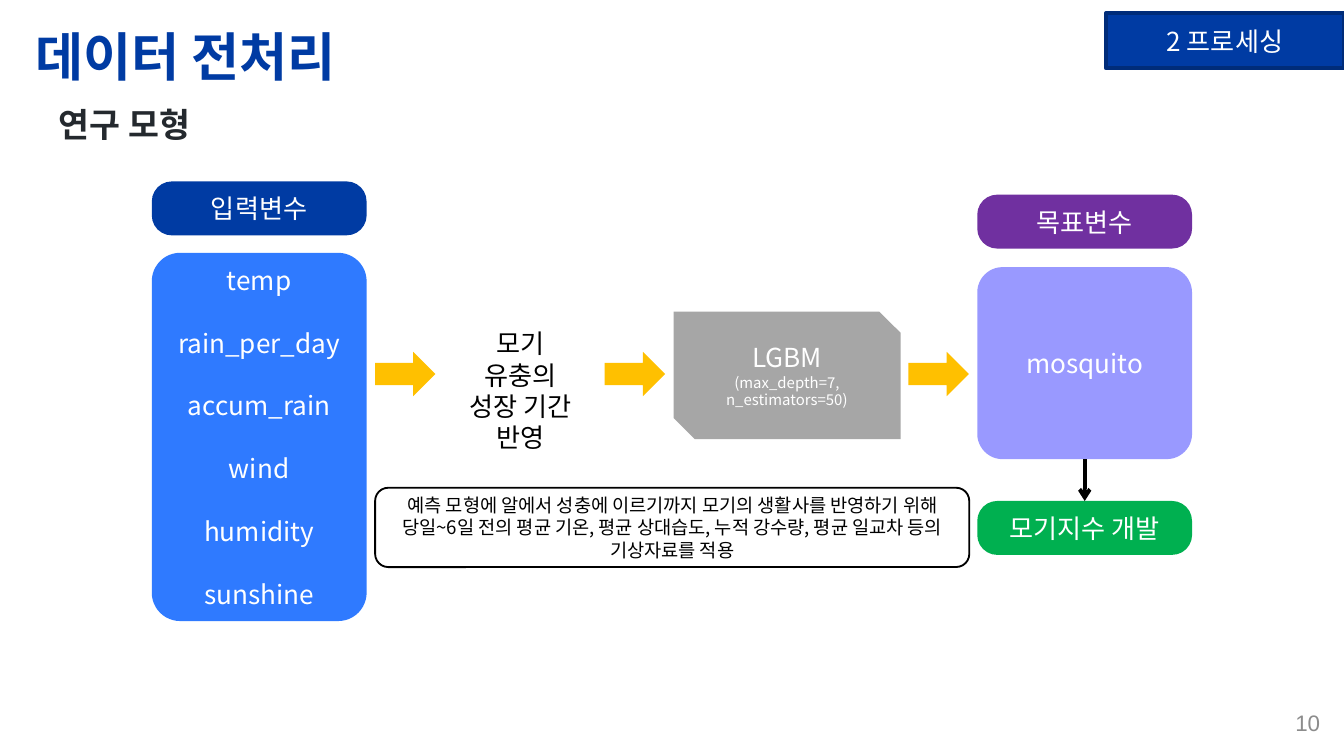
from dataclasses import dataclass

from lxml import etree
from pptx import Presentation
from pptx import util as u
from pptx.dml.color import RGBColor
from pptx.enum import shapes, text
from pptx.oxml import ns


@dataclass(frozen=True)
class Theme:
    font: str = "Noto Sans CJK KR"
    number_font: str = "Arial"
    navy: str = "003BA3"
    navy_edge: str = "002C79"
    blue: str = "2F7AFF"
    ink: str = "24292E"
    gray: str = "A6A6A6"
    number: str = "8C8C8C"
    amber: str = "FFC000"
    lilac: str = "9999FF"
    purple: str = "7030A0"
    green: str = "00B050"
    white: str = "FFFFFF"
    black: str = "000000"
    title: int = 28
    subtitle: int = 18
    body: int = 14
    page: int = 12
    note: int = 10
    small: int = 8
    leading: float = 1.2


T = Theme()
Shape = shapes.MSO_SHAPE
Align = text.PP_ALIGN
Anchor = text.MSO_ANCHOR


def write(tf, content, size=T.body, color=T.white, font=T.font, bold=False,
          align=Align.CENTER, anchor=Anchor.MIDDLE, gap=0, first=True):
    tf.word_wrap = True
    tf.vertical_anchor = anchor
    for i, line in enumerate(content.split("\n")):
        p = tf.paragraphs[0] if first and i == 0 else tf.add_paragraph()
        p.alignment = align
        p.line_spacing = u.Pt(size * T.leading)
        p.space_before = u.Pt(gap if i else 0)
        r = p.add_run()
        r.text = line
        r.font.size = u.Pt(size)
        r.font.bold = bold
        r.font.color.rgb = RGBColor.from_string(color)
        r.font.name = font
        etree.SubElement(r.font._element, ns.qn("a:ea"), typeface=font)


def block(kind, x, y, w, h, fill=None, edge=None, width=1, adj=None):
    sp = s.shapes.add_shape(kind, u.Cm(x), u.Cm(y), u.Cm(w), u.Cm(h))
    sp.shadow.inherit = False
    if fill:
        sp.fill.solid()
        sp.fill.fore_color.rgb = RGBColor.from_string(fill)
    else:
        sp.fill.background()
    if edge:
        sp.line.color.rgb = RGBColor.from_string(edge)
        sp.line.width = u.Pt(width)
    else:
        sp.line.fill.background()
    if adj is not None:
        sp.adjustments[0] = adj
    return sp.text_frame


prs = Presentation()
prs.slide_width, prs.slide_height = u.Cm(25.4), u.Cm(14.29)
s = prs.slides.add_slide(prs.slide_layouts[5])

title = s.shapes.title
title.left, title.top = u.Cm(0.41), u.Cm(0.25)
title.width, title.height = u.Cm(21.44), u.Cm(1.6)
write(title.text_frame, "데이터 전처리", size=T.title, color=T.navy, bold=True, align=Align.LEFT)

subtitle = s.shapes.add_textbox(u.Cm(0.86), u.Cm(1.83), u.Cm(22.23), u.Cm(1.02))
write(subtitle.text_frame, "연구 모형", size=T.subtitle, color=T.ink, bold=True, align=Align.LEFT)

write(block(Shape.RECTANGLE, 20.9, 0.25, 4.5, 1.04, T.navy, T.navy_edge, 2), "2 프로세싱")

input_x, target_x, card_w, label_h = 2.87, 18.47, 4.06, 1.02

variables = "temp\nrain_per_day\naccum_rain\nwind\nhumidity\nsunshine"
for x, y, h, fill, adj, content in (
    (input_x, 4.78, 6.96, T.blue, 0.132, variables),
    (input_x, 3.43, label_h, T.navy, 0.371, "입력변수"),
    (target_x, 5.05, 3.63, T.lilac, 0.132, "mosquito"),
    (target_x, 3.68, label_h, T.purple, 0.371, "목표변수"),
    (target_x, 9.47, label_h, T.green, 0.371, "모기지수 개발"),
):
    card = block(Shape.ROUNDED_RECTANGLE, x, y, card_w, h, fill, adj=adj)
    write(card, content, gap=T.body * T.leading)

model = block(Shape.SNIP_2_DIAG_RECTANGLE, 12.73, 5.89, 4.29, 2.41, T.gray)
write(model, "LGBM")
write(model, "(max_depth=7, n_estimators=50)", size=T.small, first=False)

growth = s.shapes.add_textbox(u.Cm(8.38), u.Cm(6.07), u.Cm(2.92), u.Cm(2.06)).text_frame
growth.margin_left = growth.margin_right = u.Cm(0.35)
write(growth, "모기 유충의\n성장 기간\n반영", color=T.black, anchor=Anchor.TOP)

for x in (7.09, 11.43, 17.17):
    block(Shape.RIGHT_ARROW, x, 6.65, 1.14, 0.84, T.amber)

center_x = u.Cm(target_x + card_w / 2)
link = s.shapes.add_connector(shapes.MSO_CONNECTOR.STRAIGHT, center_x, u.Cm(8.68), center_x, u.Cm(9.47))
link.line.color.rgb = RGBColor.from_string(T.black)
link.line.width = u.Pt(2)
etree.SubElement(link.line._get_or_add_ln(), ns.qn("a:tailEnd"), type="arrow")
etree.SubElement(link._element.spPr, ns.qn("a:effectLst"))

note = block(Shape.ROUNDED_RECTANGLE, 7.09, 9.22, 11.23, 1.5, edge=T.black)
write(note, "예측 모형에 알에서 성충에 이르기까지 모기의 생활사를 반영하기 위해 "
            "당일~6일 전의 평균 기온, 평균 상대습도, 누적 강수량, 평균 일교차 "
            "등의 기상자료를 적용", size=T.note, color=T.black)

page = s.shapes.add_textbox(u.Cm(19.48), u.Cm(13.28), u.Cm(5.72), u.Cm(0.76))
write(page.text_frame, "10", size=T.page, color=T.number, font=T.number_font, align=Align.RIGHT)

prs.save("out.pptx")
